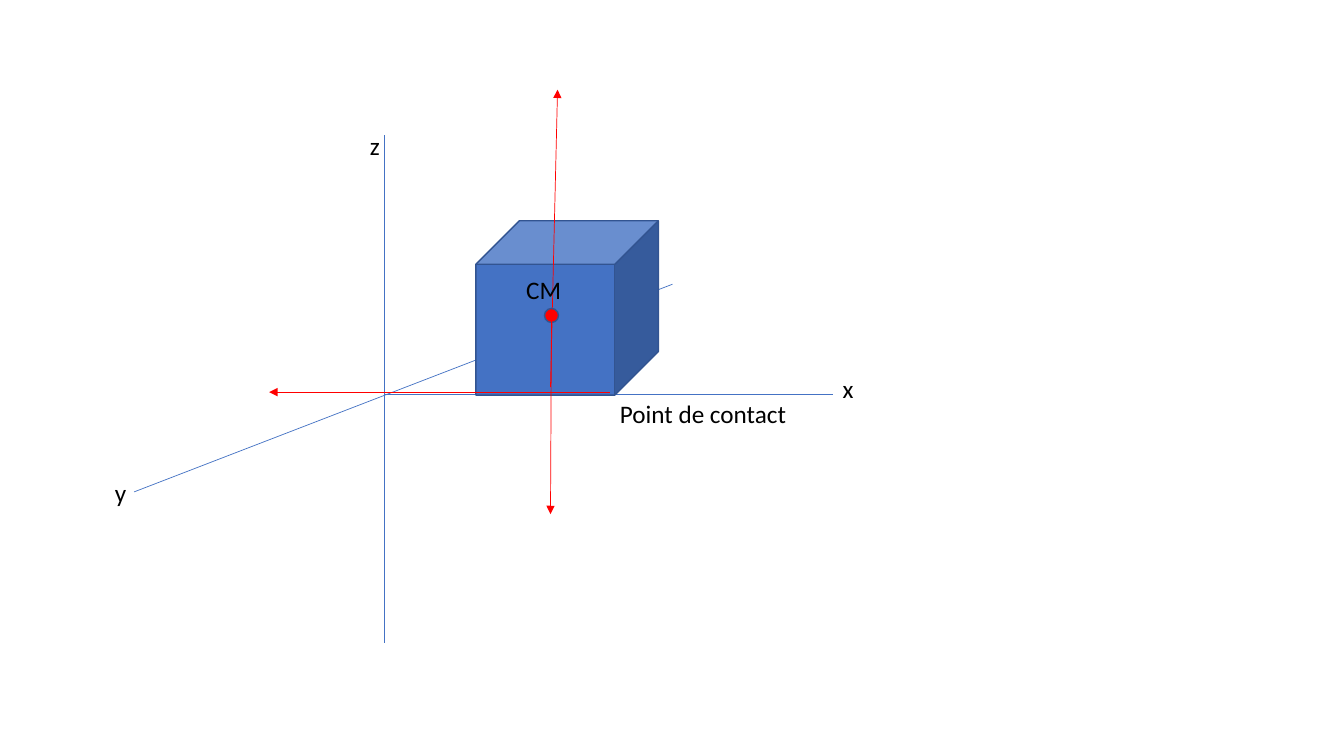
"""Build a slide showing the forces on a cube resting in x, y, z axes."""
from lxml import etree
from pptx import Presentation
from pptx.dml.color import RGBColor
from pptx.enum.shapes import MSO_CONNECTOR, MSO_SHAPE
from pptx.enum.text import MSO_AUTO_SIZE
from pptx.oxml.ns import qn
from pptx.util import Inches, Pt

STRAIGHT = MSO_CONNECTOR.STRAIGHT
CUBE, OVAL = MSO_SHAPE.CUBE, MSO_SHAPE.OVAL
FIT_SHAPE = MSO_AUTO_SIZE.SHAPE_TO_FIT_TEXT

BLUE = RGBColor(0x44, 0x72, 0xC4)
DARK_BLUE = RGBColor(0x32, 0x54, 0x91)
RED = RGBColor(0xFF, 0x00, 0x00)
BLACK = RGBColor(0x00, 0x00, 0x00)

AXES = [
    ((3.81, 3.91), (8.26, 3.91)),
    ((3.81, 1.34), (3.81, 6.38)),
    ((1.33, 4.88), (6.67, 2.82)),
]
BLOCK = (4.72, 2.19, 1.81, 1.73)
NORMAL_FORCE = ((5.46, 3.84), (5.53, 0.89))
MASS_CENTRE = (5.4, 3.06, 0.14, 0.14)
WEIGHT = ((5.47, 3.12), (5.46, 5.1))
FRICTION = ((6.05, 3.89), (2.67, 3.89))
LABEL_HEIGHT = 0.4
LABELS = [
    ("z", 3.57, 1.24, 0.3),
    ("x", 8.26, 3.65, 0.31),
    ("y", 1.04, 4.69, 0.32),
    ("CM", 5.12, 2.67, 0.55),
    ("Point de contact", 6.05, 3.9, 1.87),
]


def add_line(page, start, end, color, arrow=False):
    """Draw a thin straight line, with an arrowhead at its end if asked."""
    points = [Inches(value) for value in (*start, *end)]
    connector = page.shapes.add_connector(STRAIGHT, *points)
    connector.line.color.rgb = color
    connector.line.width = Pt(0.5)
    if arrow:
        outline = connector.line._get_or_add_ln()
        etree.SubElement(outline, qn("a:tailEnd"), type="triangle")
    etree.SubElement(connector._element.spPr, qn("a:effectLst"))


def add_solid(page, kind, bounds, color):
    """Draw a filled preset shape with a dark blue outline."""
    solid = page.shapes.add_shape(kind, *map(Inches, bounds))
    solid.shadow.inherit = False
    solid.fill.solid()
    solid.fill.fore_color.rgb = color
    solid.line.color.rgb = DARK_BLUE
    solid.line.width = Pt(1)


def add_label(page, text, left, top, width):
    """Write a one-line label."""
    bounds = map(Inches, (left, top, width, LABEL_HEIGHT))
    frame = page.shapes.add_textbox(*bounds).text_frame
    frame.word_wrap = False
    frame.auto_size = FIT_SHAPE
    frame.text = text
    font = frame.paragraphs[0].runs[0].font
    font.name = "Calibri"
    font.size = Pt(18)
    font.color.rgb = BLACK


def main():
    """Assemble and save the deck."""
    deck = Presentation()
    deck.slide_width, deck.slide_height = Inches(13.33), Inches(7.5)
    page = deck.slides.add_slide(deck.slide_layouts[6])
    for start, end in AXES:
        add_line(page, start, end, BLUE)
    add_solid(page, CUBE, BLOCK, BLUE)
    add_line(page, *NORMAL_FORCE, RED, arrow=True)
    add_solid(page, OVAL, MASS_CENTRE, RED)
    for force in (WEIGHT, FRICTION):
        add_line(page, *force, RED, arrow=True)
    for label in LABELS:
        add_label(page, *label)
    deck.save("out.pptx")


if __name__ == "__main__":
    main()
